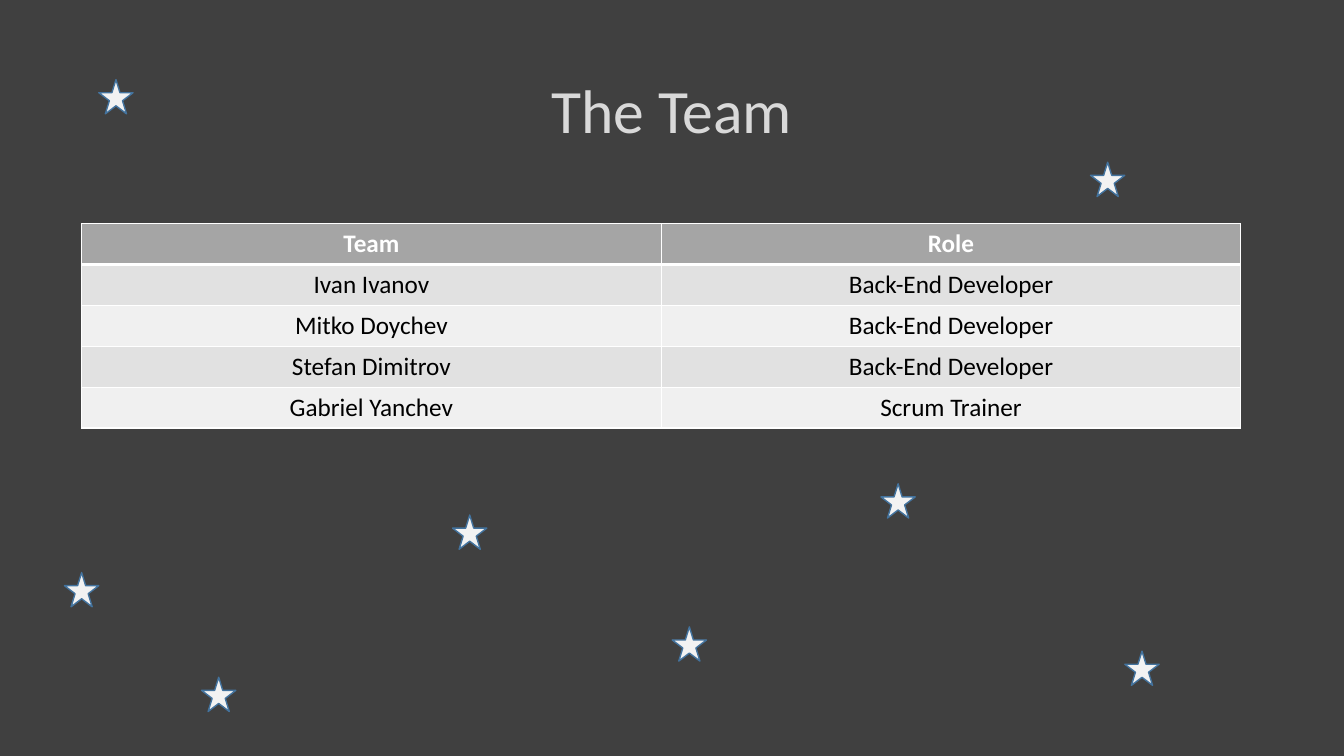
from lxml.etree import SubElement
from pptx import Presentation
from pptx.dml.color import RGBColor
from pptx.enum.shapes import MSO_SHAPE
from pptx.enum.text import MSO_ANCHOR, PP_ALIGN
from pptx.oxml.ns import qn
from pptx.util import Pt

BACKGROUND = RGBColor(0x40, 0x40, 0x40)
TITLE_GREY = RGBColor(0xD9, 0xD9, 0xD9)
WHITE = RGBColor(0xFF, 0xFF, 0xFF)
BLACK = RGBColor(0x00, 0x00, 0x00)
HEADER_GREY = RGBColor(0xA5, 0xA5, 0xA5)
BAND_DARK = RGBColor(0xE1, 0xE1, 0xE1)
BAND_LIGHT = RGBColor(0xF0, 0xF0, 0xF0)
STAR_FILL = RGBColor(0xF2, 0xF2, 0xF2)
STAR_LINE = RGBColor(0x43, 0x73, 0x9E)

STAR_SIZE = 24.5
ROW_HEIGHT = 29.2
COLUMN_WIDTH = 414
TEAM = [
    ("Team", "Role"),
    ("Ivan Ivanov", "Back-End Developer"),
    ("Mitko Doychev", "Back-End Developer"),
    ("Stefan Dimitrov", "Back-End Developer"),
    ("Gabriel Yanchev", "Scrum Trainer"),
]
STARS = [
    (323.3, 367.9), (46.1, 409), (803.5, 465.1), (70.6, 56.9),
    (779, 115.9), (629.3, 345.6), (480.2, 447.8), (144, 483.8),
]


def write_text(frame, text, *, size, color, bold=False, spacing=None):
    """Write one centred paragraph into a text frame."""
    para = frame.paragraphs[0]
    para.alignment = PP_ALIGN.CENTER
    para.line_spacing = spacing
    span = para.add_run()
    span.text = text
    span.font.name = "Calibri"
    span.font.size = Pt(size)
    span.font.bold = bold
    span.font.color.rgb = color


def add_title(page, text):
    """Add the slide title."""
    box = page.shapes.add_textbox(Pt(66), Pt(28.8), Pt(828), Pt(104.4))
    frame = box.text_frame
    frame.word_wrap = True
    frame.vertical_anchor = MSO_ANCHOR.MIDDLE
    write_text(frame, text, size=44, color=TITLE_GREY, spacing=0.9)


def set_borders(cell, **widths):
    """Draw white borders on a cell, with widths in points by side."""
    properties = cell._tc.get_or_add_tcPr()
    for index, side in enumerate("LRTB"):
        width = Pt(widths.get(side, 1))
        line = SubElement(properties, qn(f"a:ln{side}"), w=str(width))
        fill = SubElement(line, qn("a:solidFill"))
        SubElement(fill, qn("a:srgbClr"), val=str(WHITE))
        properties.insert(index, line)


def add_team_table(page, rows):
    """Add the banded table of members and roles."""
    columns = len(rows[0])
    table = page.shapes.add_table(
        len(rows), columns, Pt(58.3), Pt(159.8),
        Pt(COLUMN_WIDTH * columns), Pt(ROW_HEIGHT * len(rows)),
    ).table
    for column in table.columns:
        column.width = Pt(COLUMN_WIDTH)
    for number, texts in enumerate(rows):
        table.rows[number].height = Pt(ROW_HEIGHT)
        header = number == 0
        band = BAND_DARK if number % 2 else BAND_LIGHT
        for column, text in enumerate(texts):
            cell = table.cell(number, column)
            cell.fill.solid()
            cell.fill.fore_color.rgb = HEADER_GREY if header else band
            write_text(cell.text_frame, text, size=18, bold=header,
                       color=WHITE if header else BLACK)
            set_borders(cell, T=3 if number == 1 else 1, B=3 if header else 1)


def add_star(page, left, top):
    """Add one five-pointed star."""
    star = page.shapes.add_shape(
        MSO_SHAPE.STAR_5_POINT, Pt(left), Pt(top), Pt(STAR_SIZE), Pt(STAR_SIZE)
    )
    star.shadow.inherit = False
    star.fill.solid()
    star.fill.fore_color.rgb = STAR_FILL
    star.line.color.rgb = STAR_LINE
    star.line.width = Pt(1)


def main():
    """Build and save the team slide."""
    deck = Presentation()
    deck.slide_width, deck.slide_height = Pt(960), Pt(540)
    page = deck.slides.add_slide(deck.slide_layouts[6])
    page.background.fill.solid()
    page.background.fill.fore_color.rgb = BACKGROUND
    add_title(page, "The Team")
    add_team_table(page, TEAM)
    for left, top in STARS:
        add_star(page, left, top)
    deck.save("out.pptx")


if __name__ == "__main__":
    main()
